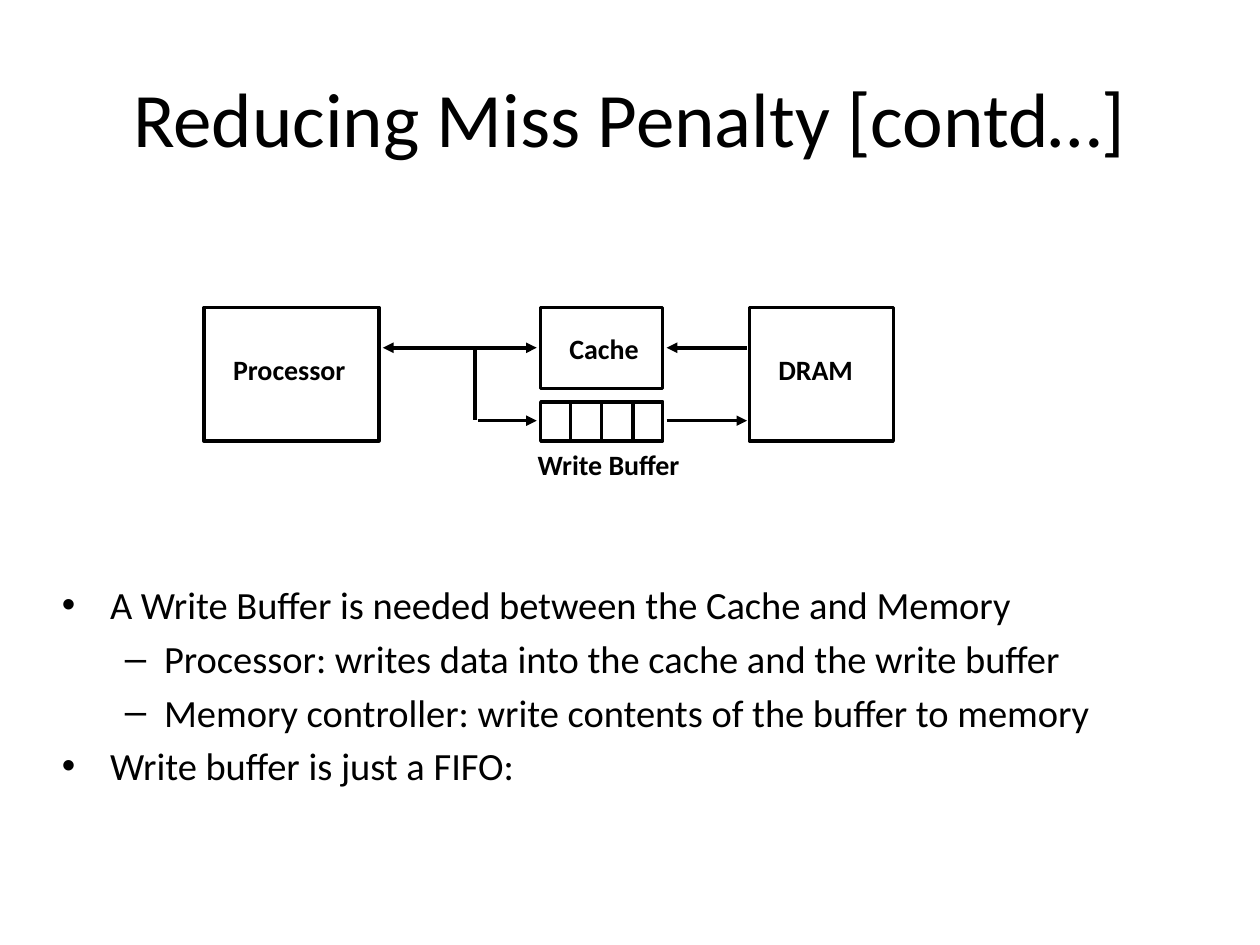
from pptx import Presentation, util as u
from pptx.dml.color import RGBColor
from pptx.enum import shapes, text
from pptx.oxml.ns import qn
from lxml import etree

BLACK = "000000"
TITLE = "Reducing Miss Penalty [contd…]"
TOP, READ_Y, WRITE_Y = 6.2, 7.01, 8.48
BUFFER = (10.9, 8.1, 2.46, 0.79)
BOXES = [(4.11, TOP, 3.53, 2.69), (10.9, TOP, 2.46, 1.63), BUFFER, (15.11, TOP, 2.9, 2.69)]
LABELS = [
    ("Processor", 4.45, 6.99, 2.84),
    ("Cache", 11.23, 6.55, 2.01),
    ("Write Buffer", 10.59, 8.89, 3.63),
    ("DRAM", 15.44, 6.99, 2.26),
]
LINKS = [
    (7.72, READ_Y, 10.82, READ_Y, ("headEnd", "tailEnd")),
    (13.44, READ_Y, 15.06, READ_Y, ("headEnd",)),
    (9.58, READ_Y, 9.58, 8.46, ()),
    (9.63, WRITE_Y, 10.82, WRITE_Y, ("tailEnd",)),
    (13.44, WRITE_Y, 15.06, WRITE_Y, ("tailEnd",)),
]
CELLS, CELL_W = 4, 0.63
LEVELS = [("•", 0.97, -0.97), ("–", 2.06, -0.79)]
BULLETS = [
    (0, "A Write Buffer is needed between the Cache and Memory"),
    (1, "Processor: writes data into the cache and the write buffer"),
    (1, "Memory controller: write contents of the buffer to memory"),
    (0, "Write buffer is just a FIFO:"),
]


def rgb(code):
    return RGBColor.from_string(code)


def place(sp, *box):
    sp.left, sp.top, sp.width, sp.height = map(u.Cm, box)


def add_run(p, words, size, bold=False):
    r = p.add_run()
    r.text = words
    r.font.name, r.font.size, r.font.bold = "Calibri", u.Pt(size), bold
    r.font.color.rgb = rgb(BLACK)


def set_line(sp):
    sp.line.color.rgb = rgb(BLACK)
    sp.line.width = u.Pt(2)


def add_box(s, box):
    sp = s.shapes.add_shape(shapes.MSO_SHAPE.RECTANGLE, *map(u.Cm, box))
    sp.shadow.inherit = False
    sp.fill.background()
    set_line(sp)


def add_link(s, x1, y1, x2, y2, ends=()):
    sp = s.shapes.add_connector(shapes.MSO_CONNECTOR.STRAIGHT, *map(u.Cm, (x1, y1, x2, y2)))
    set_line(sp)
    for end in ends:
        etree.SubElement(sp.line._get_or_add_ln(), qn("a:" + end), type="triangle")
    etree.SubElement(sp._element.spPr, qn("a:effectLst"))


def add_label(s, words, left, top, width):
    sp = s.shapes.add_textbox(*map(u.Cm, (left, top, width, 0.91)))
    sp.text_frame.word_wrap = False
    add_run(sp.text_frame.paragraphs[0], words, 16, True)


def add_bullets(s):
    tf = s.shapes.add_textbox(*map(u.Cm, (1.07, 11.63, 22.94, 4.42))).text_frame
    tf.word_wrap = True
    tf.margin_left = tf.margin_right = u.Cm(0.18)
    tf.margin_top = tf.margin_bottom = u.Cm(0.08)
    for i, (level, words) in enumerate(BULLETS):
        p = tf.add_paragraph() if i else tf.paragraphs[0]
        p.level, p.space_before = level, u.Pt(4.4)
        mark, margin, indent = LEVELS[level]
        pPr = p._p.get_or_add_pPr()
        pPr.set("marL", str(u.Cm(margin)))
        pPr.set("indent", str(u.Cm(indent)))
        etree.SubElement(pPr, qn("a:buFont"), typeface="Arial")
        etree.SubElement(pPr, qn("a:buChar"), char=mark)
        add_run(p, words, 22)


def main():
    """Build the write buffer slide."""
    prs = Presentation()
    prs.slide_width, prs.slide_height = u.Cm(25.4), u.Cm(19.05)
    s = prs.slides.add_slide(prs.slide_layouts[5])
    place(s.shapes.title, 1.27, 0.76, 22.86, 3.18)
    tf = s.shapes.title.text_frame
    tf.vertical_anchor = text.MSO_ANCHOR.MIDDLE
    tf.paragraphs[0].alignment = text.PP_ALIGN.CENTER
    add_run(tf.paragraphs[0], TITLE, 44)
    add_bullets(s)
    for box in BOXES:
        add_box(s, box)
    left, top, width, height = BUFFER
    for i in range(1, CELLS):
        x = left + width / 2 + (i - CELLS / 2) * CELL_W
        add_link(s, x, top, x, top + height)
    for link in LINKS:
        add_link(s, *link)
    for label in LABELS:
        add_label(s, *label)
    prs.save("out.pptx")


if __name__ == "__main__":
    main()
